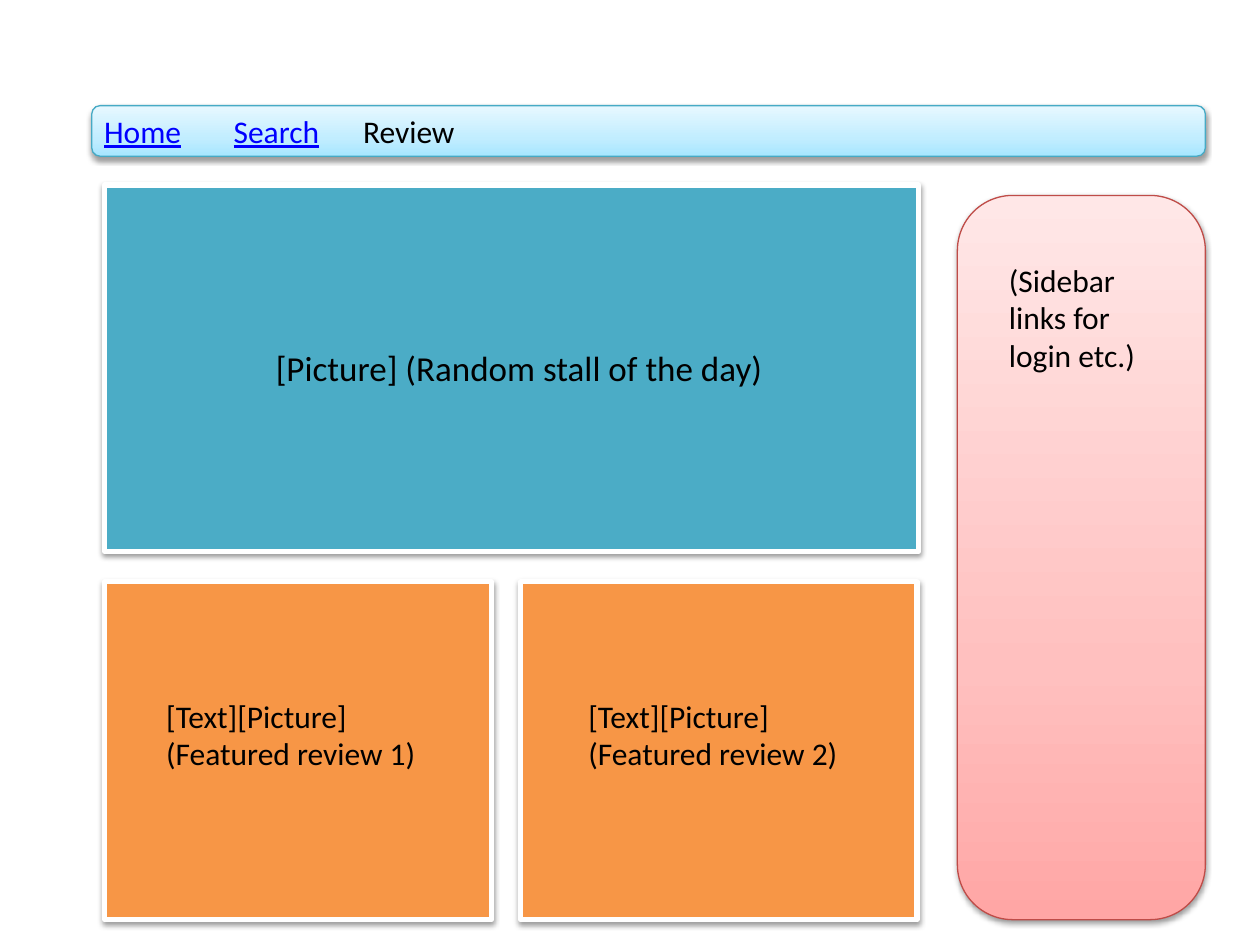
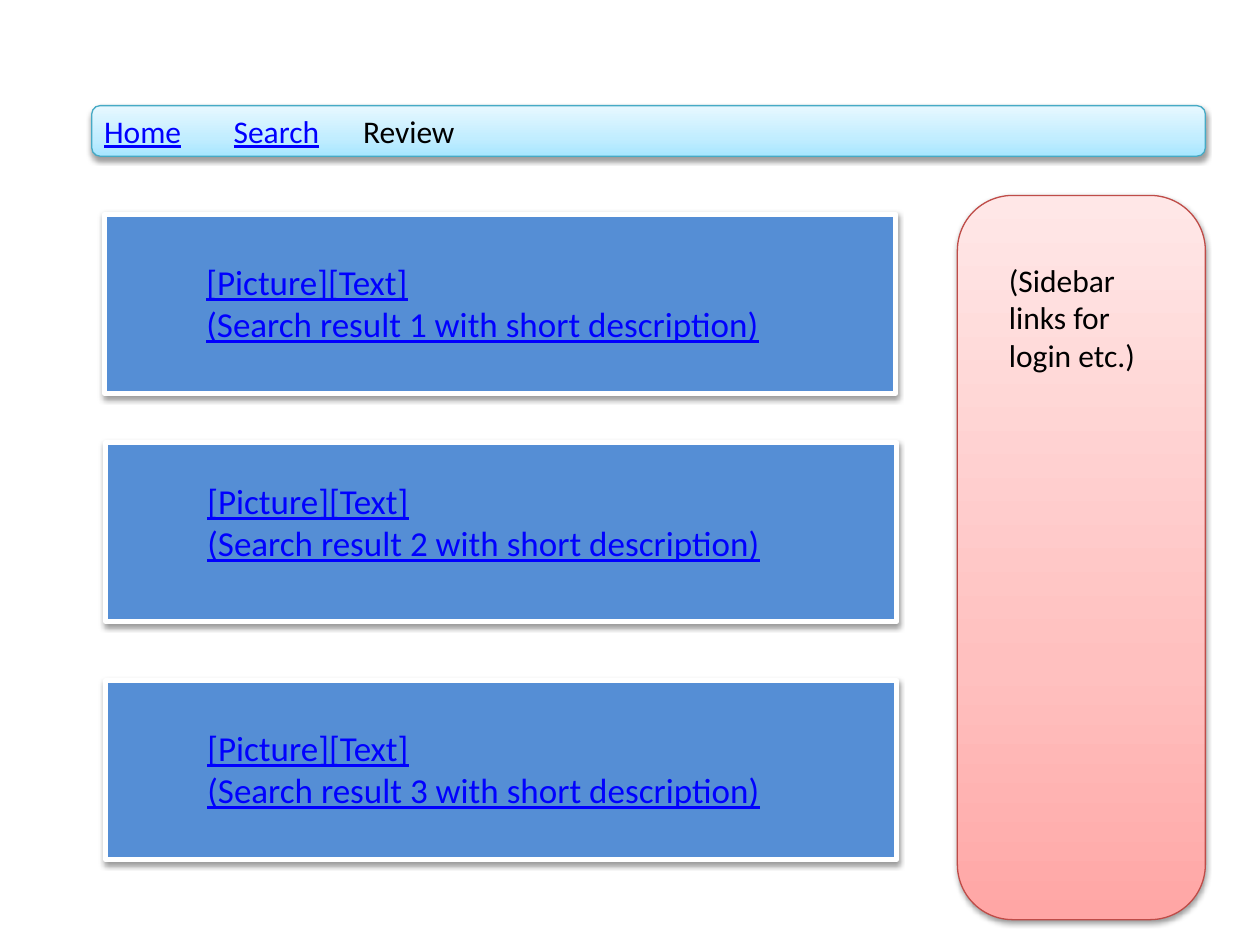
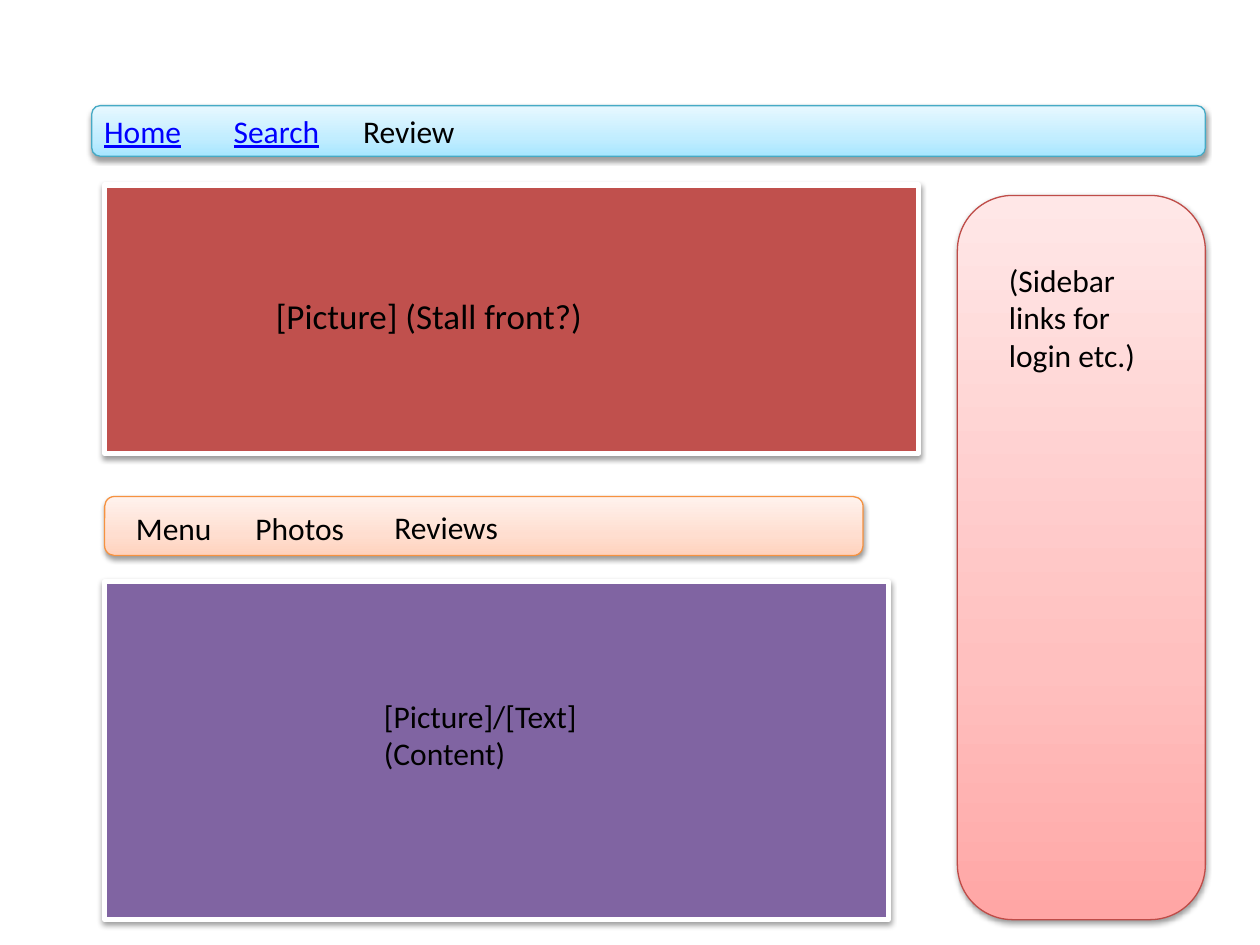
from copy import deepcopy
from dataclasses import dataclass

from lxml.etree import SubElement
from pptx import Presentation
from pptx.dml.color import RGBColor
from pptx.enum.shapes import MSO_SHAPE
from pptx.enum.text import MSO_AUTO_SIZE
from pptx.oxml.ns import qn
from pptx.util import Cm, Pt


@dataclass(frozen=True)
class Theme:
    font: str = "Calibri"
    body: int = 18
    lead: int = 20
    ink: str = "000000"
    link: str = "0000FF"
    frame: str = "FFFFFF"
    stall: str = "4BACC6"
    review: str = "F79646"
    result: str = "558ED5"
    front: str = "C0504D"
    content: str = "8064A2"
    aqua: tuple = ("46AAC5", "A7E6FF", "C1EDFF", "E7F8FF")
    rose: tuple = ("BF4C48", "FFA6A5", "FFC0BF", "FFE7E7")
    peach: tuple = ("F69240", "FFD2BD", "FFDED0", "FFF2ED")
    stops: tuple = (0, 0.35, 1)
    panel_line: float = 3
    bar_line: float = 0.75


class Wireframe:
    def __init__(self, theme):
        self.theme = theme
        self.deck = Presentation()
        self.deck.slide_width = Cm(25.4)
        self.deck.slide_height = Cm(19.05)
        self.shapes = None

    def page(self):
        self.slide = self.deck.slides.add_slide(self.deck.slide_layouts[6])
        self.shapes = self.slide.shapes
        self.navigation()
        self.sidebar()

    def group(self):
        self.shapes = self.slide.shapes.add_group_shape().shapes

    def outline(self, preset, box, color, width):
        shape = self.shapes.add_shape(preset, *map(Cm, box))
        shape.line.color.rgb = RGBColor.from_string(color)
        shape.line.width = Pt(width)
        self.shadow(shape)
        return shape

    def shadow(self, shape):
        shape.shadow.inherit = False
        effects = shape._element.spPr.find(qn("a:effectLst"))
        outer = SubElement(effects, qn("a:outerShdw"), blurRad="40000",
                           dist="20000", dir="5400000", rotWithShape="0")
        black = SubElement(outer, qn("a:srgbClr"), val=self.theme.ink)
        SubElement(black, qn("a:alpha"), val="38000")

    def panel(self, box, color):
        panel = self.outline(MSO_SHAPE.RECTANGLE, box,
                             self.theme.frame, self.theme.panel_line)
        panel.fill.solid()
        panel.fill.fore_color.rgb = RGBColor.from_string(color)

    def bar(self, box, palette, rounding=0.167):
        edge, *shades = palette
        bar = self.outline(MSO_SHAPE.ROUNDED_RECTANGLE, box,
                           edge, self.theme.bar_line)
        bar.adjustments[0] = rounding
        bar.fill.gradient()
        bar.fill.gradient_angle = 90
        stop_list = bar._element.spPr.find(qn("a:gradFill")).find(qn("a:gsLst"))
        stop_list.append(deepcopy(stop_list[0]))
        for stop, position, shade in zip(bar.fill.gradient_stops,
                                         self.theme.stops, shades):
            stop.position = position
            stop.color.rgb = RGBColor.from_string(shade)

    def label(self, box, wording, size=None, linked=False):
        frame = self.shapes.add_textbox(*map(Cm, box)).text_frame
        frame.word_wrap = True
        frame.auto_size = MSO_AUTO_SIZE.SHAPE_TO_FIT_TEXT
        frame.text = wording
        color = self.theme.link if linked else self.theme.ink
        for paragraph in frame.paragraphs:
            for run in paragraph.runs:
                run.font.name = self.theme.font
                run.font.size = Pt(size or self.theme.body)
                run.font.color.rgb = RGBColor.from_string(color)
                if linked:
                    run.font.underline = True

    def navigation(self):
        self.bar((1.85, 2.13, 22.45, 1.02), self.theme.aqua)
        for column, entry in enumerate(("Home", "Search", "Review")):
            self.label((1.85 + 2.61 * column, 2.13, 2.6, 1.02), entry,
                       linked=entry != "Review")

    def sidebar(self):
        self.bar((19.3, 3.94, 5, 14.6), self.theme.rose, 0.223)
        self.label((20.09, 5.13, 3.61, 2.57), "(Sidebar links for login etc.)")

    def banner(self, height, color, caption_top, caption):
        self.panel((2.11, 3.73, 16.41, height), color)
        self.label((5.31, caption_top, 10.39, 1.12), caption, self.theme.lead)

    def lower_panel(self, left, width, color, caption_left, caption):
        self.panel((left, 11.73, width, 6.81), color)
        self.label((caption_left, 13.92, 5.9, 1.8), caption)

    def search_result(self, number, left, top, caption_top):
        self.group()
        self.panel((left, top, 15.95, 3.61), self.theme.result)
        self.label((left + 1.8, caption_top, 11.81, 1.96),
                   f"[Picture][Text]\n(Search result {number} with short description)",
                   self.theme.lead, linked=True)


def home_page(site):
    site.page()
    site.banner(7.39, site.theme.stall, 6.86, "[Picture] (Random stall of the day)")
    reviews = ((2.11, 7.8, 3.1), (10.49, 8, 11.61))
    for number, (left, width, caption_left) in enumerate(reviews, 1):
        site.lower_panel(left, width, site.theme.review, caption_left,
                         f"[Text][Picture] (Featured review {number})")


def search_page(site):
    site.page()
    results = ((2.11, 4.32, 5.13), (2.13, 8.92, 9.55), (2.13, 13.72, 14.53))
    for number, places in enumerate(results, 1):
        site.search_result(number, *places)


def stall_page(site):
    site.page()
    site.banner(5.41, site.theme.front, 5.82, "[Picture] (Stall front?)")
    site.lower_panel(2.11, 15.8, site.theme.content, 7.49,
                     "[Picture]/[Text]\n(Content)")
    site.bar((2.11, 10.01, 15.29, 1.19), site.theme.peach)
    tabs = (("Menu", 2.49, 10.13), ("Photos", 4.9, 10.13), ("Reviews", 7.7, 10.11))
    for tab, left, top in tabs:
        site.label((left, top, 2.65, 1.02), tab)


def main():
    site = Wireframe(Theme())
    home_page(site)
    search_page(site)
    stall_page(site)
    site.deck.save("out.pptx")


if __name__ == "__main__":
    main()
